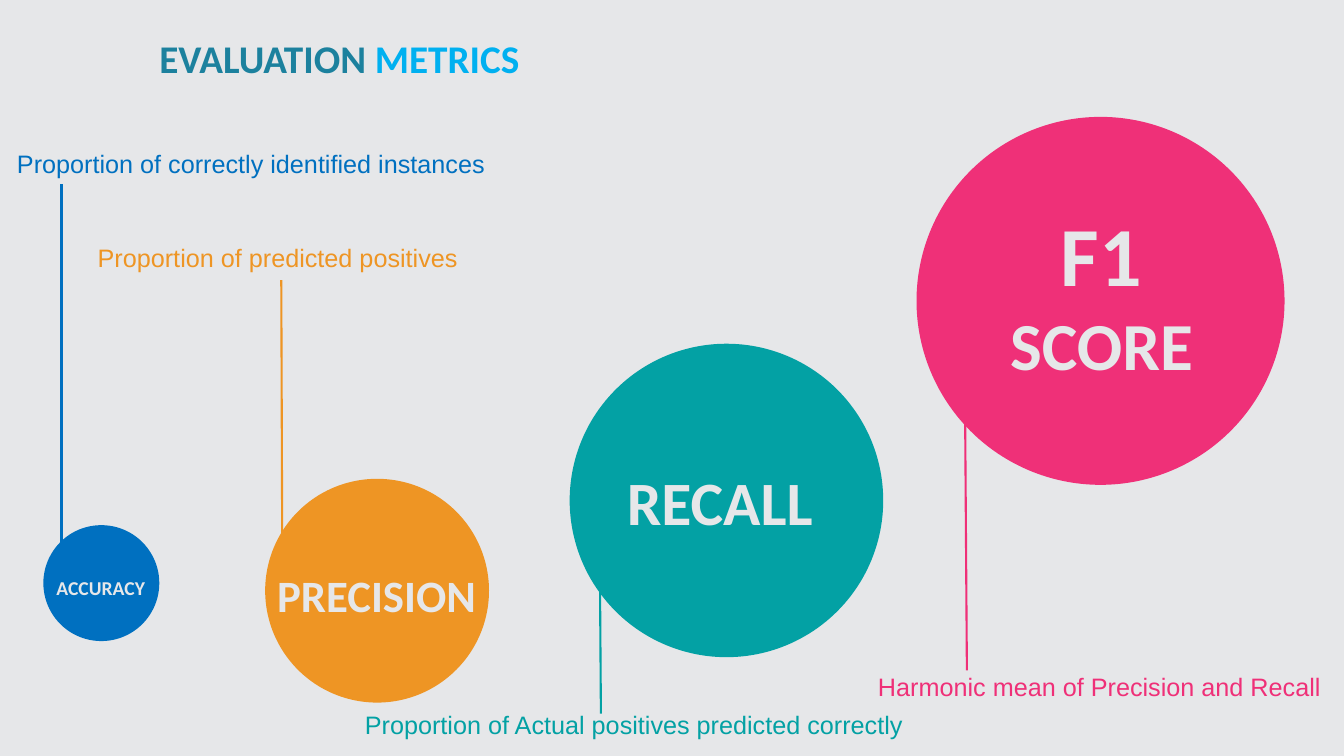
from collections import namedtuple

from lxml import etree
from pptx import Presentation
from pptx import util as u
from pptx.dml.color import RGBColor
from pptx.enum import shapes, text
from pptx.oxml.ns import qn

BACKGROUND = RGBColor(0xE6, 0xE7, 0xE9)
TITLE_DARK = RGBColor(0x1C, 0x81, 0x9E)
TITLE_LIGHT = RGBColor(0x00, 0xB0, 0xF0)
BLUE = RGBColor(0x00, 0x70, 0xC0)
ORANGE = RGBColor(0xEE, 0x95, 0x24)
TEAL = RGBColor(0x03, 0xA1, 0xA4)
PINK = RGBColor(0xEF, 0x30, 0x78)

# circle is (left, top, diameter); label_box and caption_box are (left, top, width, height);
# stem is (start x, start y, end x, end y); all in inches.
Metric = namedtuple("Metric", "color circle label_box label caption_box caption stem")

METRICS = [
    Metric(PINK, (9.09, 1.16, 3.65), (9.58, 1.96, 2.69, 1.92), [("F1", 60), ("SCORE", 48)],
           (8.61, 6.61, 4.63, 0.4), "Harmonic mean of Precision and Recall",
           (9.57, 3.74, 9.59, 6.65)),
    Metric(TEAL, (5.65, 3.41, 3.11), (5.66, 4.55, 2.96, 0.78), [("RECALL", 44)],
           (3.52, 6.99, 5.59, 0.4), "Proportion of Actual positives predicted correctly",
           (5.94, 4.17, 5.96, 7.08)),
    Metric(ORANGE, (2.63, 4.75, 2.22), (2.39, 5.58, 2.69, 0.64), [("PRECISION", 32)],
           (0.87, 2.36, 3.81, 0.4), "Proportion of predicted positives",
           (2.79, 2.78, 2.8, 5.69)),
    Metric(BLUE, (0.43, 5.21, 1.15), (0.38, 5.66, 1.24, 0.34), [("ACCURACY", 14)],
           (0.07, 1.42, 4.89, 0.4), "Proportion of correctly identified instances",
           (0.61, 1.83, 0.61, 5.51)),
]


def inches(values):
    return [u.Inches(value) for value in values]


def set_font(font, size, name, color=None, bold=False):
    font.size = u.Pt(size)
    font.name = name
    font.bold = bold
    if color is not None:
        font.color.rgb = color


def add_title(page, area):
    box = page.shapes.add_textbox(*inches(area))
    frame = box.text_frame
    frame.word_wrap = True
    frame.margin_left = frame.margin_right = frame.margin_top = frame.margin_bottom = 0
    para = frame.paragraphs[0]
    set_font(para.font, 28, "Calibri", bold=True)
    for words, color in (("EVALUATION ", TITLE_DARK), ("METRICS", TITLE_LIGHT)):
        span = para.add_run()
        span.text = words
        span.font.color.rgb = color


def add_bubble(page, metric):
    """Group a metric's circle with its name."""
    group = page.shapes.add_group_shape()
    left, top, diameter = inches(metric.circle)
    circle = group.shapes.add_shape(shapes.MSO_SHAPE.OVAL, left, top, diameter, diameter)
    circle.shadow.inherit = False
    circle.fill.solid()
    circle.fill.fore_color.rgb = metric.color
    circle.line.fill.background()

    frame = group.shapes.add_textbox(*inches(metric.label_box)).text_frame
    frame.word_wrap = True
    for index, (words, size) in enumerate(metric.label):
        para = frame.add_paragraph() if index else frame.paragraphs[0]
        para.text = words
        para.alignment = text.PP_ALIGN.CENTER
        set_font(para.font, size, "Calibri", BACKGROUND, bold=True)


def add_caption(page, metric):
    """Write what the metric measures and tie it to the circle with a stem."""
    frame = page.shapes.add_textbox(*inches(metric.caption_box)).text_frame
    frame.word_wrap = False
    para = frame.paragraphs[0]
    para.text = metric.caption
    set_font(para.font, 18, "Arial", metric.color)

    stem = page.shapes.add_connector(shapes.MSO_CONNECTOR.STRAIGHT, *inches(metric.stem))
    stem.line.color.rgb = metric.color
    stem.line.width = u.Pt(1.5)
    etree.SubElement(stem._element.spPr, qn("a:effectLst"))


def main():
    deck = Presentation()
    deck.slide_width, deck.slide_height = inches((13.33, 7.5))
    page = deck.slides.add_slide(deck.slide_layouts[6])
    page.background.fill.solid()
    page.background.fill.fore_color.rgb = BACKGROUND
    for metric in METRICS:
        add_bubble(page, metric)
    add_title(page, (1.58, 0.34, 3.66, 0.47))
    for metric in METRICS:
        add_caption(page, metric)
    deck.save("out.pptx")


if __name__ == "__main__":
    main()
